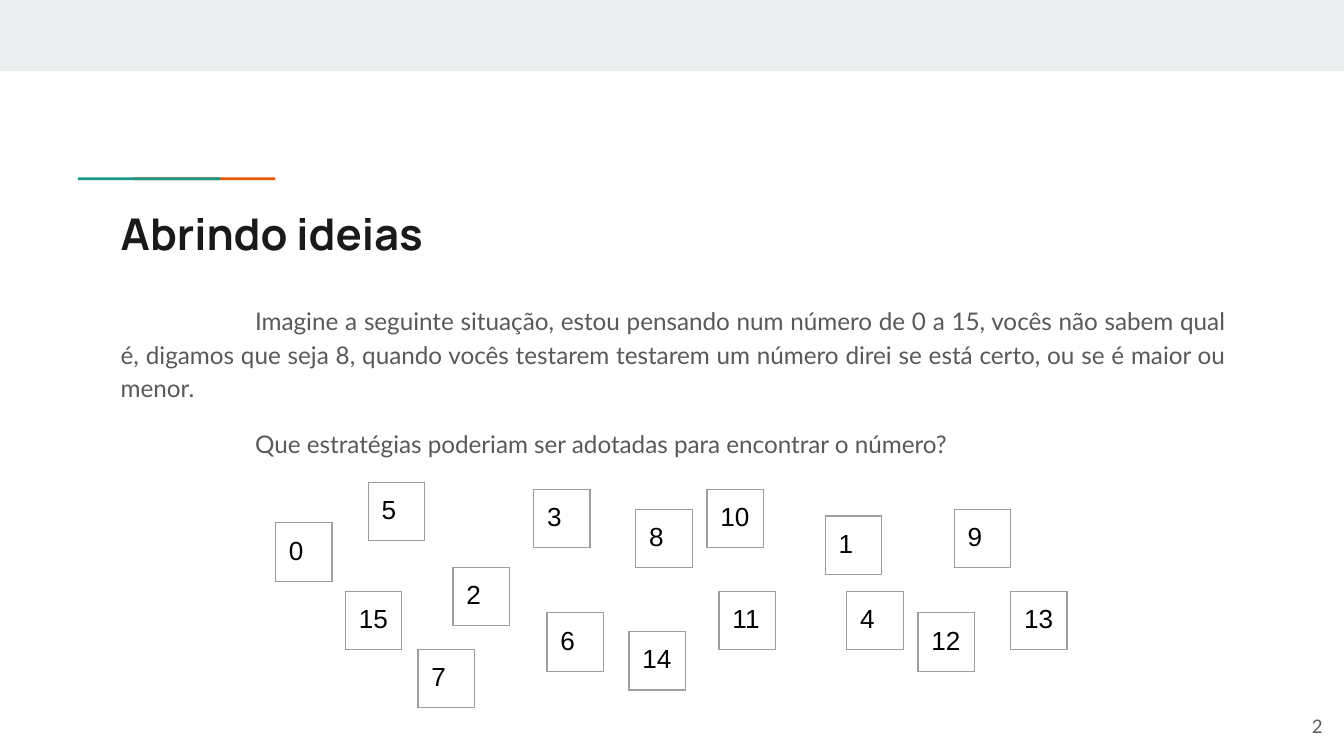
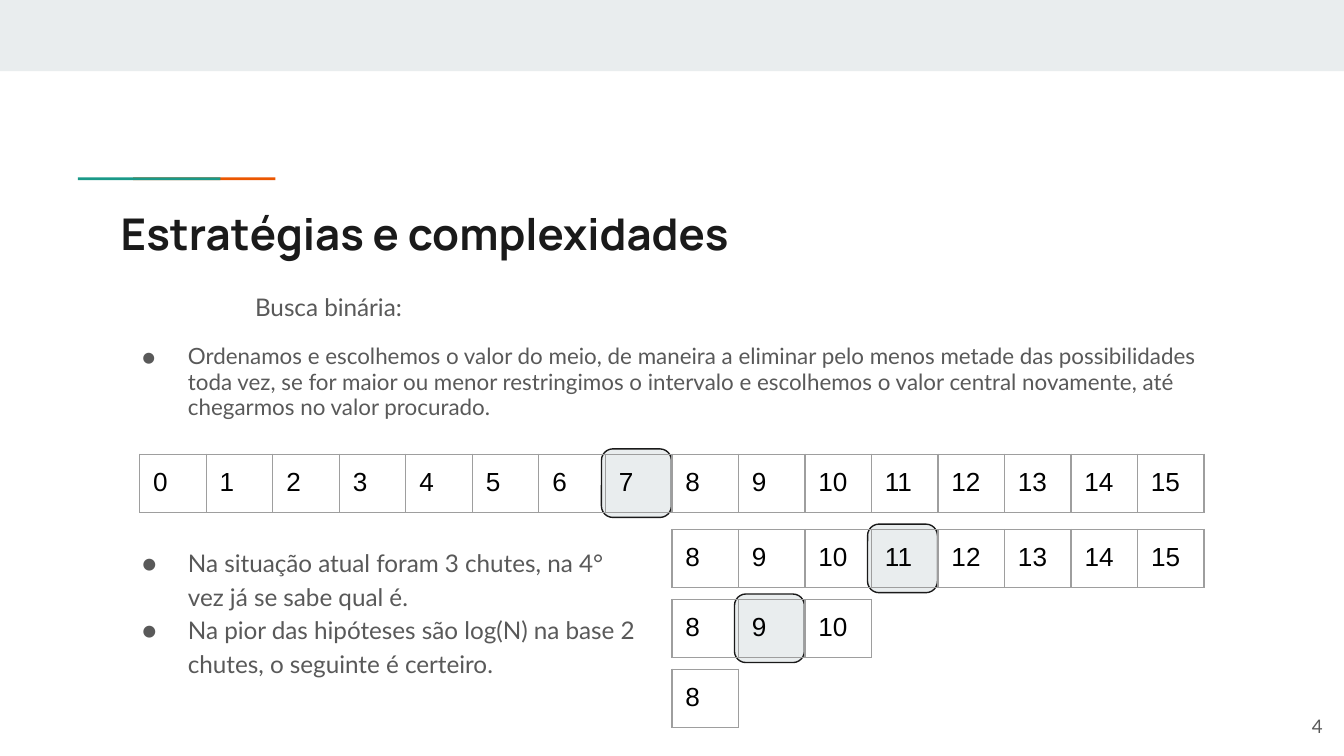
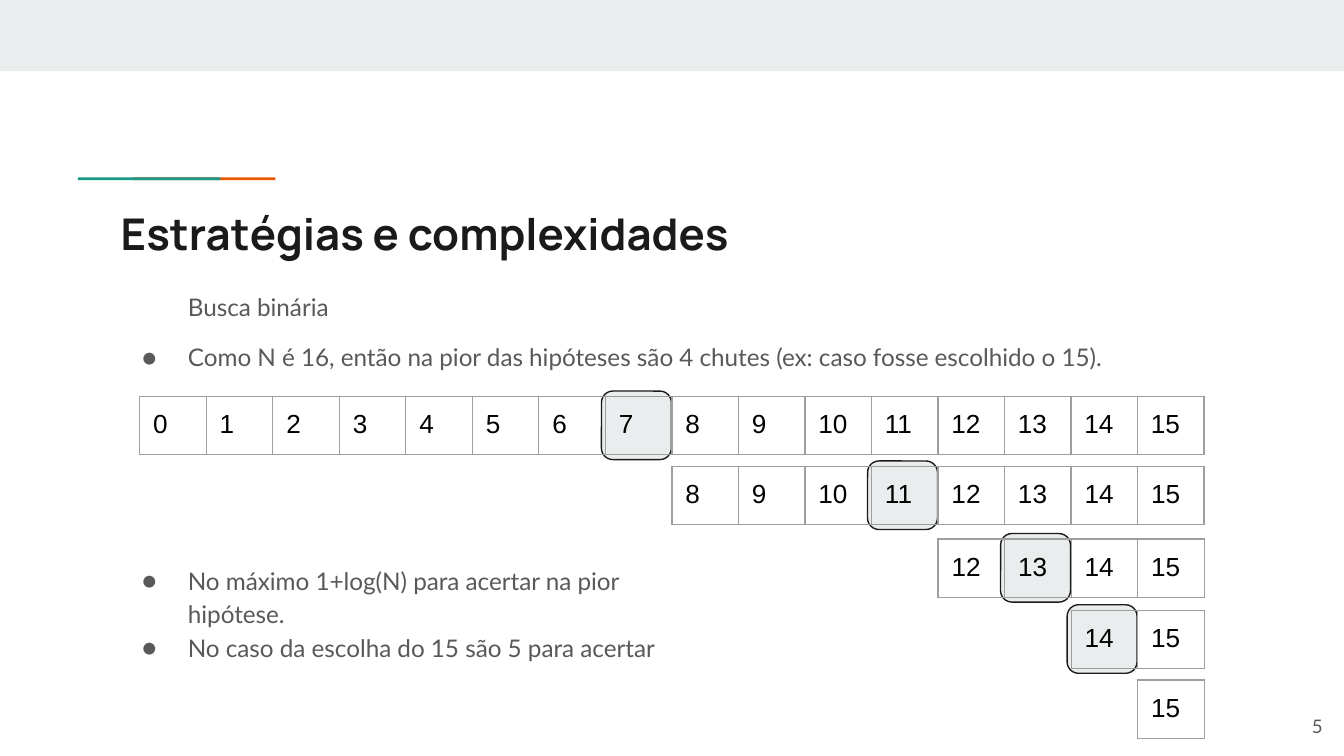
from dataclasses import dataclass
from typing import Optional

import pptx
import pptx.dml.color
import pptx.enum.shapes
import pptx.enum.text
import pptx.oxml
import pptx.oxml.ns
import pptx.presentation
import pptx.slide
import pptx.table
import pptx.text.text
import pptx.util
from lxml import etree

Inches = pptx.util.Inches
Pt = pptx.util.Pt
RGBColor = pptx.dml.color.RGBColor
MSO_SHAPE = pptx.enum.shapes.MSO_SHAPE
PP_ALIGN = pptx.enum.text.PP_ALIGN
MSO_ANCHOR = pptx.enum.text.MSO_ANCHOR

# Colours and fonts
MIST = RGBColor(0xE9, 0xED, 0xEE)
ORANGE = RGBColor(0xEB, 0x56, 0x00)
TEAL = RGBColor(0x1A, 0x99, 0x88)
INK = RGBColor(0x1A, 0x1A, 0x1A)
GRAY = RGBColor(0x59, 0x59, 0x59)
BORDER = RGBColor(0x9E, 0x9E, 0x9E)
BLACK = RGBColor(0, 0, 0)
TITLE_FONT, BODY_FONT, NUMBER_FONT = "Manrope", "Lato", "Arial"

# Grid of the ordered numbers: every value keeps its column in all rows
GRID_LEFT, GRID_RIGHT, VALUE_COUNT = 1.04, 8.96, 16
CELL_WIDTH = (GRID_RIGHT - GRID_LEFT) / VALUE_COUNT
ROW_HEIGHT = 0.42
TILE_WIDTH, TILE_HEIGHT = 0.42, 0.43


@dataclass(frozen=True)
class Box:
    left: float
    top: float
    width: float
    height: float

    def lengths(self) -> tuple:
        return tuple(Inches(v) for v in (self.left, self.top, self.width, self.height))


@dataclass(frozen=True)
class Paragraph:
    text: str
    size: float = 13
    font: str = BODY_FONT
    color: RGBColor = GRAY
    bold: bool = False
    align: PP_ALIGN = PP_ALIGN.LEFT
    margin: float = 0
    indent: float = 0
    line_spacing: Optional[float] = None
    before: float = 0
    bullet: bool = False


@dataclass(frozen=True)
class Tile:
    value: int
    left: float
    top: float


@dataclass(frozen=True)
class SearchStep:
    first: int
    last: int
    top: float
    guess: Optional[int] = None


TITLE_BOX = Box(0.8, 1.44, 8.41, 0.59)
INTRO_BOX = Box(0.8, 2.09, 8.41, 1.2)
PAGE_NUMBER_BOX = Box(9.34, 5.19, 0.6, 0.43)

TILES = [
    Tile(0, 2.05, 3.89), Tile(5, 2.74, 3.59), Tile(15, 2.57, 4.4), Tile(2, 3.37, 4.22),
    Tile(3, 3.97, 3.64), Tile(7, 3.11, 4.83), Tile(6, 4.07, 4.56), Tile(8, 4.73, 3.79),
    Tile(14, 4.68, 4.7), Tile(10, 5.26, 3.64), Tile(11, 5.35, 4.4), Tile(1, 6.14, 3.84),
    Tile(4, 6.3, 4.4), Tile(9, 7.1, 3.79), Tile(12, 6.83, 4.56), Tile(13, 7.52, 4.4),
]

SEARCH_FOR_8 = [
    SearchStep(0, 15, 3.38, 7),
    SearchStep(8, 15, 3.94, 11),
    SearchStep(8, 10, 4.46, 9),
    SearchStep(8, 8, 4.98),
]

SEARCH_FOR_15 = [
    SearchStep(0, 15, 2.95, 7),
    SearchStep(8, 15, 3.47, 11),
    SearchStep(12, 15, 4.01, 13),
    SearchStep(14, 15, 4.54, 14),
    SearchStep(15, 15, 5.06),
]


def bullet_item(text: str, size: float = 13, line_spacing: float = 1.15,
                before: float = 0) -> Paragraph:
    return Paragraph(text, size, margin=0.5, indent=-0.34,
                     line_spacing=line_spacing, before=before, bullet=True)


# Drawing helpers
def add_panel(slide: pptx.slide.Slide, box: Box, fill: RGBColor,
              outline: Optional[RGBColor] = None,
              preset: MSO_SHAPE = MSO_SHAPE.RECTANGLE) -> None:
    panel = slide.shapes.add_shape(preset, *box.lengths())
    panel.shadow.inherit = False
    panel.fill.solid()
    panel.fill.fore_color.rgb = fill
    if outline is None:
        panel.line.fill.background()
    else:
        panel.line.color.rgb = outline
        panel.line.width = Pt(0.75)


def write_paragraph(target: pptx.text.text._Paragraph, content: Paragraph) -> None:
    target.alignment = content.align
    target.line_spacing = content.line_spacing
    target.space_before = Pt(content.before)
    properties = target._p.get_or_add_pPr()
    properties.set("marL", str(Inches(content.margin)))
    properties.set("indent", str(Inches(content.indent)))
    if content.bullet:
        bullet_color = etree.SubElement(properties, pptx.oxml.ns.qn("a:buClr"))
        etree.SubElement(bullet_color, pptx.oxml.ns.qn("a:srgbClr"), val=str(content.color))
        etree.SubElement(properties, pptx.oxml.ns.qn("a:buFont"), typeface=content.font)
        etree.SubElement(properties, pptx.oxml.ns.qn("a:buChar"), char="●")
    run = target.add_run()
    run.text = content.text
    run.font.name = content.font
    run.font.size = Pt(content.size)
    run.font.bold = content.bold
    run.font.color.rgb = content.color


def add_text(slide: pptx.slide.Slide, box: Box, paragraphs: list[Paragraph],
             anchor: MSO_ANCHOR = MSO_ANCHOR.TOP) -> None:
    frame = slide.shapes.add_textbox(*box.lengths()).text_frame
    frame.word_wrap = True
    frame.vertical_anchor = anchor
    frame.margin_left = frame.margin_right = Inches(0.1)
    frame.margin_top = frame.margin_bottom = Inches(0.1)
    for index, content in enumerate(paragraphs):
        target = frame.paragraphs[0] if index == 0 else frame.add_paragraph()
        write_paragraph(target, content)


def set_borders(cell: pptx.table._Cell) -> None:
    properties = cell._tc.get_or_add_tcPr()
    for position, side in enumerate(("a:lnL", "a:lnR", "a:lnT", "a:lnB")):
        border = etree.Element(pptx.oxml.ns.qn(side), w=str(Pt(0.75)))
        fill = etree.SubElement(border, pptx.oxml.ns.qn("a:solidFill"))
        etree.SubElement(fill, pptx.oxml.ns.qn("a:srgbClr"), val=str(BORDER))
        properties.insert(position, border)


def add_number_row(slide: pptx.slide.Slide, values: range, box: Box) -> None:
    numbers = slide.shapes.add_table(1, len(values), *box.lengths()).table
    numbers.first_row = numbers.horz_banding = False
    numbers.rows[0].height = Inches(box.height)
    for column, value in enumerate(values):
        numbers.columns[column].width = Inches(box.width / len(values))
        cell = numbers.cell(0, column)
        cell.fill.background()
        cell.margin_left = cell.margin_right = Inches(0.1)
        cell.margin_top = cell.margin_bottom = Inches(0.1)
        set_borders(cell)
        write_paragraph(cell.text_frame.paragraphs[0],
                        Paragraph(str(value), 14, NUMBER_FONT, BLACK))


def column_left(value: int) -> float:
    return GRID_LEFT + value * CELL_WIDTH


def add_search_step(slide: pptx.slide.Slide, step: SearchStep) -> None:
    if step.guess is not None:
        highlight = Box(column_left(step.guess) - 0.03, step.top - 0.04, 0.52, 0.51)
        add_panel(slide, highlight, MIST, INK, MSO_SHAPE.ROUNDED_RECTANGLE)
    values = range(step.first, step.last + 1)
    add_number_row(slide, values, Box(column_left(step.first), step.top,
                                      len(values) * CELL_WIDTH, ROW_HEIGHT))


def add_base_slide(deck: pptx.presentation.Presentation, title: str,
                   page: int) -> pptx.slide.Slide:
    slide = deck.slides.add_slide(deck.slide_layouts[6])
    # Top band and two-colour accent, teal overlapping orange
    add_panel(slide, Box(0, 0, 10, 0.53), MIST)
    for left, color in ((0.99, ORANGE), (0.58, TEAL)):
        add_panel(slide, Box(left, 1.32, 1.06, 0.02), color)
    # Title and page number
    add_text(slide, TITLE_BOX, [Paragraph(title, 23.4, TITLE_FONT, INK, bold=True)])
    add_text(slide, PAGE_NUMBER_BOX, [Paragraph(str(page), 10, align=PP_ALIGN.RIGHT)],
             MSO_ANCHOR.MIDDLE)
    return slide


# Slides
def build_opening(deck: pptx.presentation.Presentation) -> None:
    slide = add_base_slide(deck, "Abrindo ideias", 2)
    add_text(slide, Box(0.8, 2.15, 8.41, 1.44), [
        Paragraph("Imagine a seguinte situação, estou pensando num número de 0 a 15, "
                  "vocês não sabem qual é, digamos que seja 8, quando vocês testarem "
                  "testarem um número direi se está certo, ou se é maior ou menor.",
                  align=PP_ALIGN.JUSTIFY, indent=1, line_spacing=1.15),
        Paragraph("Que estratégias poderiam ser adotadas para encontrar o número?",
                  align=PP_ALIGN.JUSTIFY, margin=0.5, indent=0.5,
                  line_spacing=1.15, before=12),
    ])
    for tile in TILES:
        add_number_row(slide, range(tile.value, tile.value + 1),
                       Box(tile.left, tile.top, TILE_WIDTH, TILE_HEIGHT))


def build_search(deck: pptx.presentation.Presentation, page: int, intro: list[Paragraph],
                 steps: list[SearchStep], notes_box: Box, notes: list[str]) -> None:
    slide = add_base_slide(deck, "Estratégias e complexidades", page)
    add_text(slide, INTRO_BOX, intro)
    for step in steps:
        add_search_step(slide, step)
    add_text(slide, notes_box, [bullet_item(note) for note in notes])


def main() -> None:
    deck = pptx.Presentation()
    # Widescreen, 16:9
    deck.slide_width = Inches(10)
    deck.slide_height = deck.slide_width * 9 // 16
    build_opening(deck)
    build_search(
        deck, 4,
        [Paragraph("Busca binária:", indent=1, line_spacing=0.95),
         bullet_item("Ordenamos e escolhemos o valor do meio, de maneira a eliminar pelo "
                     "menos metade das possibilidades toda vez, se for maior ou menor "
                     "restringimos o intervalo e escolhemos o valor central novamente, "
                     "até chegarmos no valor procurado.", 12, 0.95, 12)],
        SEARCH_FOR_8, Box(0.8, 3.95, 4.09, 1.46),
        ["Na situação atual foram 3 chutes, na 4° vez já se sabe qual é.",
         "Na pior das hipóteses são log(N) na base 2 chutes, o seguinte é certeiro."])
    build_search(
        deck, 5,
        [Paragraph("Busca binária", margin=0.5, line_spacing=0.95),
         bullet_item("Como N é 16, então na pior das hipóteses são 4 chutes "
                     "(ex: caso fosse escolhido o 15).", 13, 0.95, 12)],
        SEARCH_FOR_15, Box(0.8, 4.08, 4.2, 1.2),
        ["No máximo 1+log(N) para acertar na pior hipótese.",
         "No caso da escolha do 15 são 5 para acertar"])
    deck.save("out.pptx")


if __name__ == "__main__":
    main()
